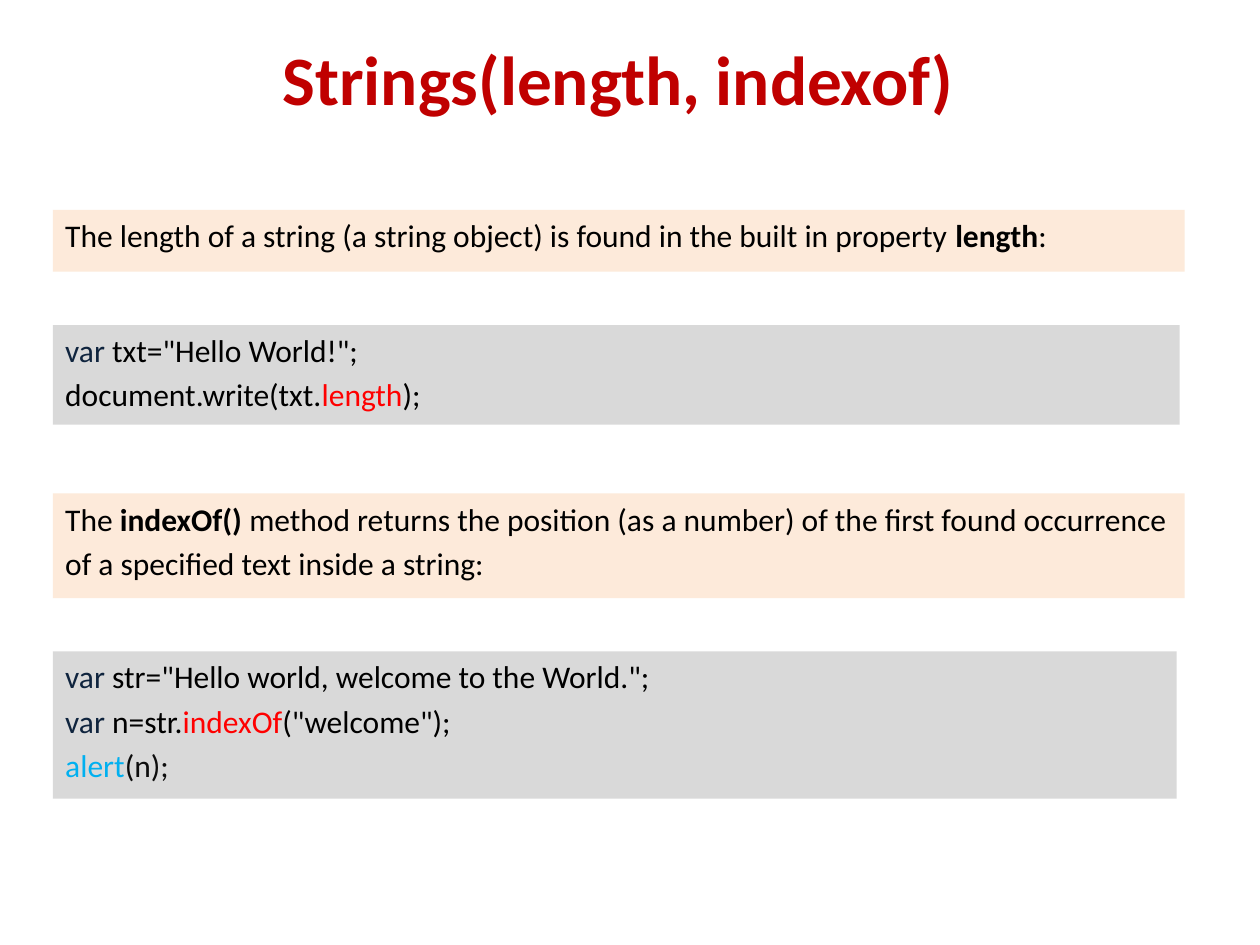
import pptx
import pptx.dml.color
import pptx.enum.shapes
import pptx.enum.text
import pptx.util

Pt = pptx.util.Pt
ANCHOR = pptx.enum.text.MSO_ANCHOR
ALIGN = pptx.enum.text.PP_ALIGN

COLORS = {
    "title": "C00000",
    "note": "FDEADA",
    "code": "D9D9D9",
    "text": "000000",
    "keyword": "0F243E",
    "member": "FF0000",
    "call": "00B0F0",
    "argument": "0D0D0D",
}


def rgb(name):
    return pptx.dml.color.RGBColor.from_string(COLORS[name])


def add_run(p, text, size=18, color="text", bold=False, font="Calibri"):
    r = p.add_run()
    r.text = text
    r.font.name = font
    r.font.size = Pt(size)
    r.font.bold = bold
    r.font.color.rgb = rgb(color)


class StringsSlide:
    left = 30.2
    space_before = 3.6

    def __init__(self, prs):
        self.s = prs.slides.add_slide(prs.slide_layouts[5])

    def title(self, text, left, top, width, height):
        sp = self.s.shapes.title
        sp.left, sp.top, sp.width, sp.height = map(Pt, (left, top, width, height))
        tf = sp.text_frame
        tf.vertical_anchor = ANCHOR.MIDDLE
        p = tf.paragraphs[0]
        p.alignment = ALIGN.CENTER
        add_run(p, text, size=39.6, color="title", bold=True)

    def panel(self, fill, top, width, height, lines):
        sp = self.s.shapes.add_shape(
            pptx.enum.shapes.MSO_SHAPE.RECTANGLE,
            Pt(self.left), Pt(top), Pt(width), Pt(height))
        sp.shadow.inherit = False
        sp.fill.solid()
        sp.fill.fore_color.rgb = rgb(fill)
        sp.line.fill.background()
        tf = sp.text_frame
        tf.word_wrap = True
        tf.vertical_anchor = ANCHOR.TOP
        for i, line in enumerate(lines):
            p = tf.add_paragraph() if i else tf.paragraphs[0]
            p.alignment = ALIGN.LEFT
            p.space_before = Pt(self.space_before)
            for text, style in line:
                add_run(p, text, **style)


def main():
    prs = pptx.Presentation()
    prs.slide_width, prs.slide_height = Pt(720), Pt(540)
    plain, bold = {}, {"bold": True}
    keyword, member = {"color": "keyword"}, {"color": "member"}

    slide = StringsSlide(prs)
    slide.title("Strings(length, indexof) ", 33.8, 16.6, 648, 56.2)
    slide.panel("note", 120, 646.8, 35.3, [
        [("The length of a string (a string object) is found in the built in property ", plain),
         ("length", bold), (":", plain)],
    ])
    slide.panel("code", 185.8, 643.9, 56.9, [
        [("var", keyword), (' txt="Hello World!";', plain)],
        [("document.write(txt.", plain), ("length", member), (");", plain)],
    ])
    slide.panel("note", 282, 646.8, 59.8, [
        [("The ", plain), ("indexOf()", bold),
         (" method returns the position (as a number) of the first found occurrence", plain)],
        [("of a specified text inside a string:", plain)],
    ])
    slide.panel("code", 372.2, 642.2, 84.2, [
        [("var ", keyword), ('str="Hello world, welcome to the World.";', plain)],
        [("var", keyword), (" n=str.", plain), ("indexOf", member), ('("welcome");', plain)],
        [("alert", {"color": "call"}), ("(n);", {"color": "argument"})],
    ])
    prs.save("out.pptx")


if __name__ == "__main__":
    main()
